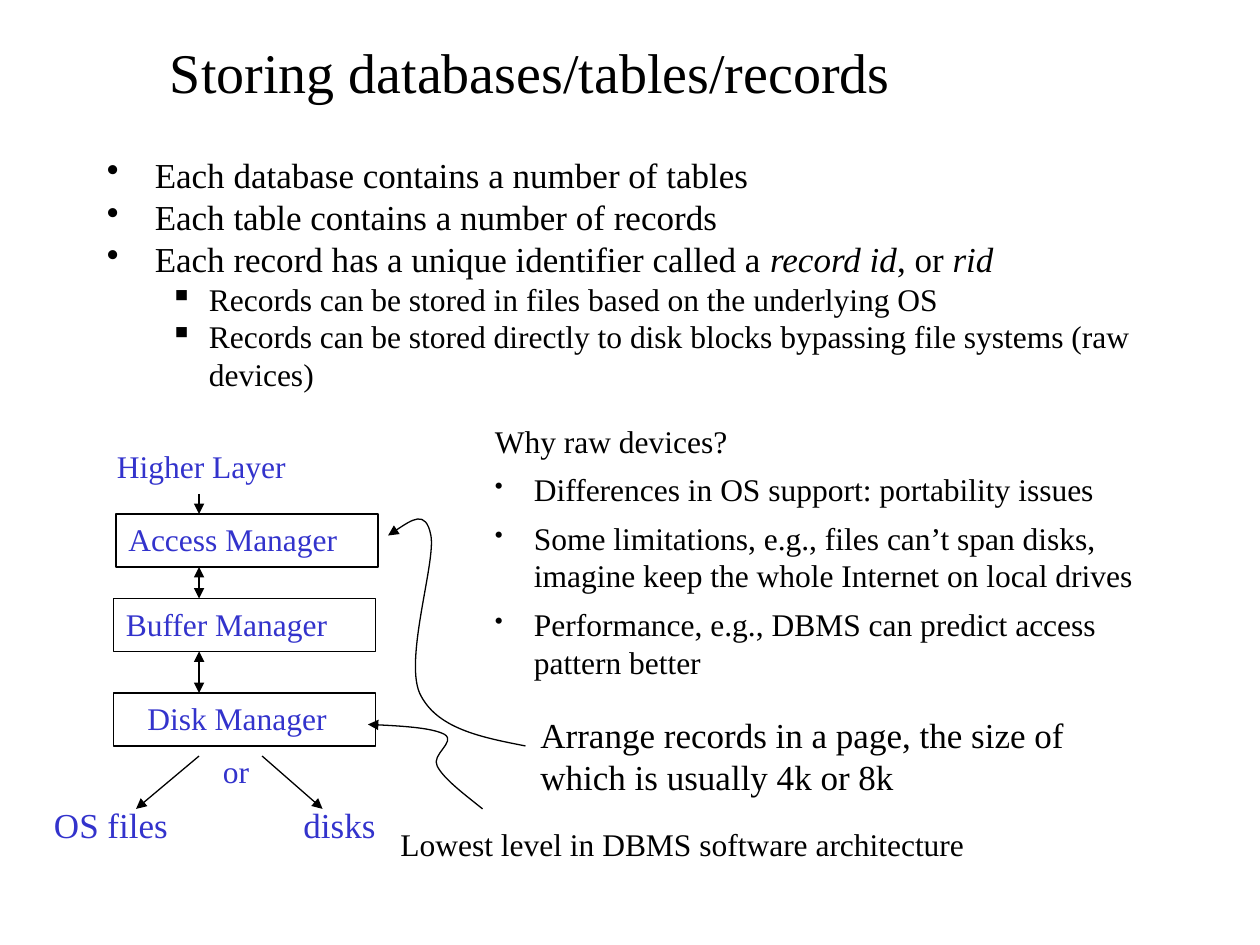
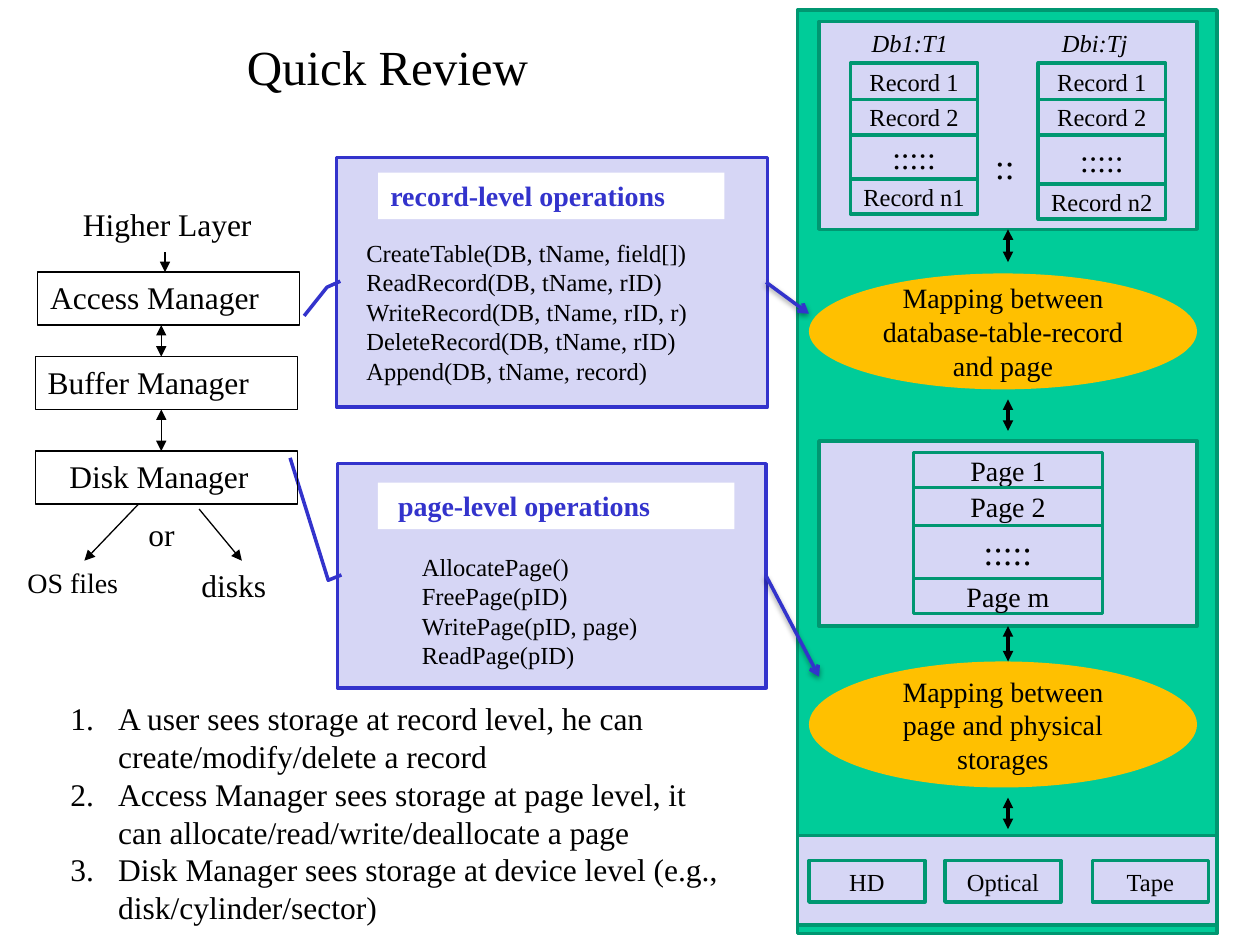
from dataclasses import dataclass
from itertools import accumulate

from lxml.etree import SubElement
from pptx import Presentation
from pptx.dml.color import RGBColor
from pptx.enum.shapes import MSO_CONNECTOR, MSO_SHAPE
from pptx.enum.text import MSO_ANCHOR, MSO_AUTO_SIZE, PP_ALIGN
from pptx.oxml.ns import qn
from pptx.util import Inches, Pt


@dataclass(frozen=True)
class Theme:
    """Colours, type sizes and line widths shared by the slides."""
    font: str = "Times New Roman"
    black: str = "000000"
    white: str = "FFFFFF"
    blue: str = "3333CC"
    lavender: str = "D6D6F5"
    green: str = "00CC99"
    dark_green: str = "009771"
    amber: str = "FFC000"
    title: int = 32
    review_title: int = 28
    large: int = 20
    body: int = 18
    medium: int = 16
    small: int = 14
    thin: float = 0.75
    thick: float = 2


@dataclass(frozen=True)
class Bullet:
    """Marker and indents of a list paragraph; an empty mark means automatic numbers."""
    mark: str
    left: float
    hang: float
    level: int = 0
    percent: int = 100
    size: int = 0


@dataclass(frozen=True)
class StackStyle:
    """What differs between the two drawings of the manager layers."""
    color: str
    heading_left: float
    entry_x: float
    arrow_x: float
    branches: tuple
    labels: tuple


THEME = Theme()
DOT = Bullet("•", 0.38, 0.38)
SQUARE = Bullet("▪", 0.81, 0.31, level=1, size=THEME.body)
SMALL_DOT = Bullet("•", 0.31, 0.31, percent=75)
NUMBER = Bullet("", 0.38, 0.38)


def add_bullet(paragraph, bullet):
    """Give a paragraph its indents and marker."""
    paragraph.level = bullet.level
    properties = paragraph._p.get_or_add_pPr()
    properties.set("marL", str(Inches(bullet.left)))
    properties.set("indent", str(-Inches(bullet.hang)))
    SubElement(properties, qn("a:buSzPct")).set("val", str(bullet.percent * 1000))
    if bullet.mark:
        SubElement(properties, qn("a:buChar")).set("char", bullet.mark)
    else:
        SubElement(properties, qn("a:buAutoNum")).set("type", "arabicPeriod")


def write(shape, text, size=THEME.body, color=THEME.black, bold=False, italic=False,
          align=PP_ALIGN.LEFT, anchor=MSO_ANCHOR.TOP, wrap=True, inset=(0.1, 0.05), after=0):
    """Fill a shape with paragraphs; asterisks enclose italics, pairs carry a bullet."""
    frame = shape.text_frame
    frame.word_wrap = wrap
    frame.vertical_anchor = anchor
    frame.margin_left, frame.margin_top = Inches(inset[0]), Inches(inset[1])
    frame.margin_right, frame.margin_bottom = Inches(min(inset[0], 0.1)), Inches(inset[1])
    for index, item in enumerate([text] if isinstance(text, str) else text):
        bullet, words = (None, item) if isinstance(item, str) else item
        paragraph = frame.add_paragraph() if index else frame.paragraphs[0]
        if bullet:
            add_bullet(paragraph, bullet)
        paragraph.alignment = align
        paragraph.space_after = Pt(after)
        for position, part in enumerate(words.split("*")):
            if part:
                run = paragraph.add_run()
                run.text = part
                run.font.name = THEME.font
                run.font.size = Pt(bullet.size if bullet and bullet.size else size)
                run.font.bold = bold
                run.font.italic = italic or position % 2 == 1
                run.font.color.rgb = RGBColor.from_string(color)


def add_text(slide, box, text, grow=True, **style):
    """Add a text box at left, top, width, height."""
    shape = slide.shapes.add_textbox(*map(Inches, box))
    write(shape, text, **style)
    shape.text_frame.auto_size = MSO_AUTO_SIZE.SHAPE_TO_FIT_TEXT if grow else MSO_AUTO_SIZE.NONE
    return shape


def add_label(slide, box, text, **style):
    """Add a single line of text that does not wrap."""
    return add_text(slide, box, text, wrap=False, **style)


def paint(shape, fill=None, line=None, width=THEME.thick):
    """Set fill and outline and remove the shadow."""
    shape.shadow.inherit = False
    if fill:
        shape.fill.solid()
        shape.fill.fore_color.rgb = RGBColor.from_string(fill)
    else:
        shape.fill.background()
    if line:
        shape.line.color.rgb = RGBColor.from_string(line)
        shape.line.width = Pt(width)
    else:
        shape.line.fill.background()


def add_box(slide, box, kind=MSO_SHAPE.RECTANGLE, **look):
    """Add a painted preset shape."""
    shape = slide.shapes.add_shape(kind, *map(Inches, box))
    paint(shape, **look)
    return shape


def add_centred(slide, box, text, size, **look):
    """Add a painted shape with centred text."""
    shape = add_box(slide, box, **look)
    write(shape, text, size=size, align=PP_ALIGN.CENTER, anchor=MSO_ANCHOR.MIDDLE,
          inset=(0.1, 0) if look.get("fill") == THEME.amber else (0.05, 0))
    return shape


def add_arrowheads(shape, head=None, tail=None):
    """Put arrowheads on the start and the end of a line."""
    line = shape.line._get_or_add_ln()
    for tag, kind in (("a:headEnd", head), ("a:tailEnd", tail)):
        if kind:
            SubElement(line, qn(tag)).set("type", kind)


def add_arrow(slide, start, end, color=THEME.black, width=THEME.thin,
              head=None, tail="triangle", shadow=False):
    """Add a straight arrow between two points."""
    arrow = slide.shapes.add_connector(MSO_CONNECTOR.STRAIGHT, *map(Inches, (*start, *end)))
    arrow.line.color.rgb = RGBColor.from_string(color)
    arrow.line.width = Pt(width)
    add_arrowheads(arrow, head, tail)
    effects = SubElement(arrow._element.spPr, qn("a:effectLst"))
    if shadow:
        outer = SubElement(effects, qn("a:outerShdw"), blurRad=str(Pt(3.1)),
                           dist=str(Pt(1.6)), dir="5400000", rotWithShape="0")
        tint = SubElement(outer, qn("a:srgbClr"), val=THEME.black)
        SubElement(tint, qn("a:alpha"), val="38000")
    return arrow


def add_curve(slide, points, **heads):
    """Add an open Bezier curve: a start, then two handles and an end per segment."""
    start, *rest = [(Inches(x), Inches(y)) for x, y in points]
    builder = slide.shapes.build_freeform(*start)
    builder.add_line_segments(rest, close=False)
    curve = builder.convert_to_shape()
    paint(curve, line=THEME.black, width=THEME.thin)
    outline = next(curve._element.iter(qn("a:path")))
    steps = outline.findall(qn("a:lnTo"))
    for index in range(0, len(steps), 3):
        bezier = SubElement(outline, qn("a:cubicBezTo"))
        for step in steps[index:index + 3]:
            bezier.append(step[0])
            outline.remove(step)
    add_arrowheads(curve, **heads)


def add_manager_stack(slide, left, top, style):
    """Draw the layers from the higher layer down to files and disks."""
    add_label(slide, (left + style.heading_left, top, 1.56, 0.4), "Higher Layer", color=style.color)
    layers = (("Access Manager", 0.02, 0.58, 0.1), ("Buffer Manager", 0, 1.25, 0.1),
              ("Disk Manager", 0, 2, 0.27))
    for name, shift, drop, indent in layers:
        layer = add_box(slide, (left + shift, top + drop, 2.08, 0.42),
                        line=THEME.black, width=THEME.thin)
        write(layer, name, color=style.color, inset=(indent, 0.05))
    add_arrow(slide, (left + style.entry_x, top + 0.42), (left + style.entry_x, top + 0.58))
    for upper, lower in ((1, 1.25), (1.67, 2)):
        add_arrow(slide, (left + style.arrow_x, top + upper),
                  (left + style.arrow_x, top + lower), head="triangle")
    for x1, y1, x2, y2 in style.branches:
        add_arrow(slide, (left + x1, top + y1), (left + x2, top + y2))
    for text, x, y, width, size in style.labels:
        add_label(slide, (left + x, top + y, width, 0.4), text, size=size, color=style.color)


def add_cells(slide, left, top, width, heights, names, size, dots_size):
    """Stack outlined cells with the third one standing for the omitted items."""
    tops = accumulate(heights[:-1], initial=top)
    for name, cell_top, height in zip(names, tops, heights):
        add_centred(slide, (left, cell_top, width, height), name,
                    dots_size if name == ":::::" else size, line=THEME.dark_green)


def add_operations(slide, box, pointer, header, header_box, calls, calls_box):
    """Draw a callout with a white heading and its list of calls."""
    left, top = box[:2]
    callout = add_box(slide, box, kind=MSO_SHAPE.LINE_CALLOUT_2,
                      fill=THEME.lavender, line=THEME.blue)
    for index, value in enumerate((0.496, 0.009, 0.52, -0.022, *pointer)):
        callout.adjustments[index] = value
    x, y, width, indent = header_box
    heading = add_box(slide, (left + x, top + y, width, 0.37), fill=THEME.white)
    write(heading, header, size=THEME.medium, color=THEME.blue, bold=True, inset=(indent, 0.05))
    x, y, width, height = calls_box
    add_label(slide, (left + x, top + y, width, height), calls, size=THEME.small)


def add_storage_column(slide, left, top):
    """Draw records, pages and devices with the mappings between them."""
    panel = dict(fill=THEME.lavender, line=THEME.dark_green)
    add_box(slide, (left, top, 3.33, 7.33), fill=THEME.green, line=THEME.dark_green)
    add_box(slide, (left, top + 6.55, 3.33, 0.71), **panel)
    records = add_box(slide, (left + 0.17, top + 0.09, 3, 1.65), **panel)
    pages = add_box(slide, (left + 0.17, top + 3.42, 3, 1.47), **panel)

    tables = (("Db1:T1", 0.42, 0.49, 0.83, 0.35, "Record n1"),
              ("Dbi:Tj", 1.91, 2, 0.72, 0.39, "Record n2"))
    for name, x, name_x, name_width, dots_height, last in tables:
        add_label(slide, (left + name_x, top + 0.09, name_width, 0.34), name,
                  size=THEME.small, italic=True)
        add_cells(slide, left + x, top + 0.42, 1.01, (0.29, 0.28, dots_height, 0.28),
                  ("Record 1", "Record 2", ":::::", last), THEME.small, THEME.body)
    add_label(slide, (left + 1.47, top + 1.02, 0.37, 0.44), "::", size=THEME.large)
    add_cells(slide, left + 0.92, top + 3.51, 1.5, (0.28, 0.3, 0.42, 0.28),
              ("Page 1", "Page 2", ":::::", "Page m"), THEME.medium, THEME.large)

    mappings = (("Mapping between database-table-record and page", 2.09, 0.92),
                ("Mapping between page and physical storages", 5.17, 1))
    for text, drop, height in mappings:
        add_centred(slide, (left + 0.09, top + drop, 3.08, height), text, THEME.medium,
                    kind=MSO_SHAPE.OVAL, fill=THEME.amber)
    for name, x in (("HD", 0.09), ("Optical", 1.17), ("Tape", 2.34)):
        add_centred(slide, (left + x, top + 6.75, 0.92, 0.33), name, THEME.small, **panel)
    for drop, source in ((1.75, records), (3.09, None), (4.92, pages), (6.25, None)):
        arrow = add_arrow(slide, (left + 1.67, top + drop), (left + 1.67, top + drop + 0.25),
                          width=THEME.thick, head="triangle")
        if source:
            arrow.begin_connect(source, 2)


def build_storing_slide(slide):
    """Build the slide on storing databases, tables and records."""
    add_label(slide, (1.25, 0.25, 5.98, 0.64), "Storing databases/tables/records", size=THEME.title)
    add_text(slide, (0.75, 1.17, 8.82, 2.02), [
        (DOT, "Each database contains a number of tables"),
        (DOT, "Each table contains a number of records"),
        (DOT, "Each record has a unique identifier called a *record id*, or *rid*"),
        (SQUARE, "Records can be stored in files based on the underlying OS"),
        (SQUARE, "Records can be stored directly to disk blocks bypassing file systems (raw devices)"),
    ], size=THEME.large)
    add_text(slide, (3.83, 3.3, 5.5, 2.17), [
        "Why raw devices?",
        (SMALL_DOT, "Differences in OS support: portability issues"),
        (SMALL_DOT, "Some limitations, e.g., files can’t span disks, "
                    "imagine keep the whole Internet on local drives"),
        (SMALL_DOT, "Performance, e.g., DBMS can predict access pattern better"),
    ], after=6)
    add_manager_stack(slide, 0.9, 3.5, StackStyle(
        THEME.blue, -0.07, 0.68, 0.68,
        ((0.68, 2.5, 0.18, 2.92), (1.18, 2.5, 1.66, 2.92)),
        (("OS files", -0.57, 2.83, 1.11, THEME.large), ("disks", 1.41, 2.83, 0.78, THEME.large),
         ("or", 0.77, 2.42, 0.41, THEME.body))))
    add_curve(slide, ((3.83, 6.42), (3.68, 6.3), (3.52, 6.18), (3.47, 6.08), (3.42, 5.99),
                      (3.62, 5.89), (3.53, 5.83), (3.44, 5.78), (3.18, 5.76), (2.92, 5.75)),
              tail="triangle")
    add_curve(slide, ((3.08, 4.25), (3.23, 4.15), (3.38, 4.04), (3.42, 4.25), (3.46, 4.46),
                      (3.21, 5.22), (3.33, 5.5), (3.46, 5.78), (3.81, 5.85), (4.17, 5.92)),
              head="triangle")
    add_label(slide, (3.08, 6.5, 4.72, 0.4), "Lowest level in DBMS software architecture")
    add_text(slide, (4.19, 5.61, 4.52, 0.77),
             "Arrange records in a page, the size of which is usually 4k or 8k", size=THEME.large)


def build_review_slide(slide):
    """Build the review slide of managers, operations and storage."""
    add_text(slide, (0.24, 0.06, 5.67, 0.92), "Quick Review", grow=False, size=THEME.review_title,
             align=PP_ALIGN.CENTER, anchor=MSO_ANCHOR.MIDDLE)
    add_storage_column(slide, 6.33, 0.08)
    add_operations(slide, (2.68, 3.68, 3.4, 1.78), (-0.026, -0.111),
                   "page-level operations", (0.32, 0.15, 2.83, 0.16),
                   ["AllocatePage()", "FreePage(pID)", "WritePage(pID, page)", "ReadPage(pID)"],
                   (0.57, 0.65, 1.93, 1.04))
    add_operations(slide, (2.67, 1.25, 3.42, 1.98), (0.635, -0.075),
                   "record-level operations", (0.33, 0.12, 2.75, 0.1),
                   ["CreateTable(DB, tName, field[])", "ReadRecord(DB, tName, rID)",
                    "WriteRecord(DB, tName, rID, r)", "DeleteRecord(DB, tName, rID)",
                    "Append(DB, tName, record)"], (0.14, 0.59, 2.77, 1.28))
    add_manager_stack(slide, 0.28, 1.58, StackStyle(
        THEME.black, 0.28, 1.03, 1,
        ((0.82, 2.42, 0.39, 2.87), (1.3, 2.46, 1.64, 2.87)),
        (("OS files", -0.16, 2.86, 0.93, THEME.medium), ("disks", 1.22, 2.86, 0.72, THEME.body),
         ("or", 0.8, 2.46, 0.41, THEME.body))))
    for start, end in (((6.08, 2.24), (6.42, 2.49)), ((6.08, 4.57), (6.5, 5.37))):
        add_arrow(slide, start, end, color=THEME.blue, width=THEME.thick, tail="arrow", shadow=True)
    add_text(slide, (0.46, 5.5, 5.45, 1.92), [
        (NUMBER, "A user sees storage at record level, he can create/modify/delete a record"),
        (NUMBER, "Access Manager sees storage at page level, it can allocate/read/write/deallocate a page"),
        (NUMBER, "Disk Manager sees storage at device level (e.g., disk/cylinder/sector)"),
    ])


def main():
    """Build and save the presentation."""
    presentation = Presentation()
    presentation.slide_width, presentation.slide_height = Inches(10), Inches(7.5)
    for build in (build_storing_slide, build_review_slide):
        build(presentation.slides.add_slide(presentation.slide_layouts[6]))
    presentation.save("out.pptx")


if __name__ == "__main__":
    main()
